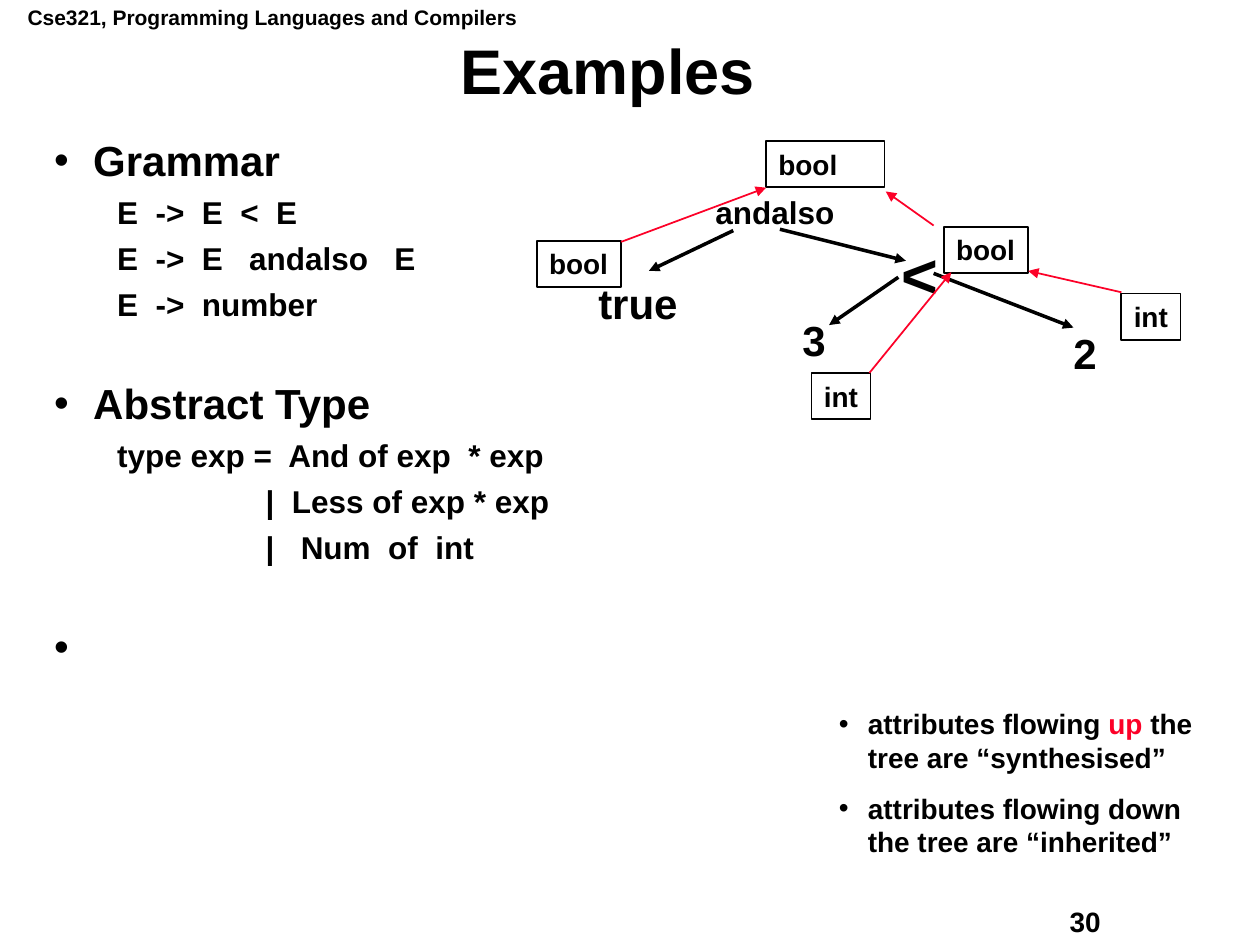
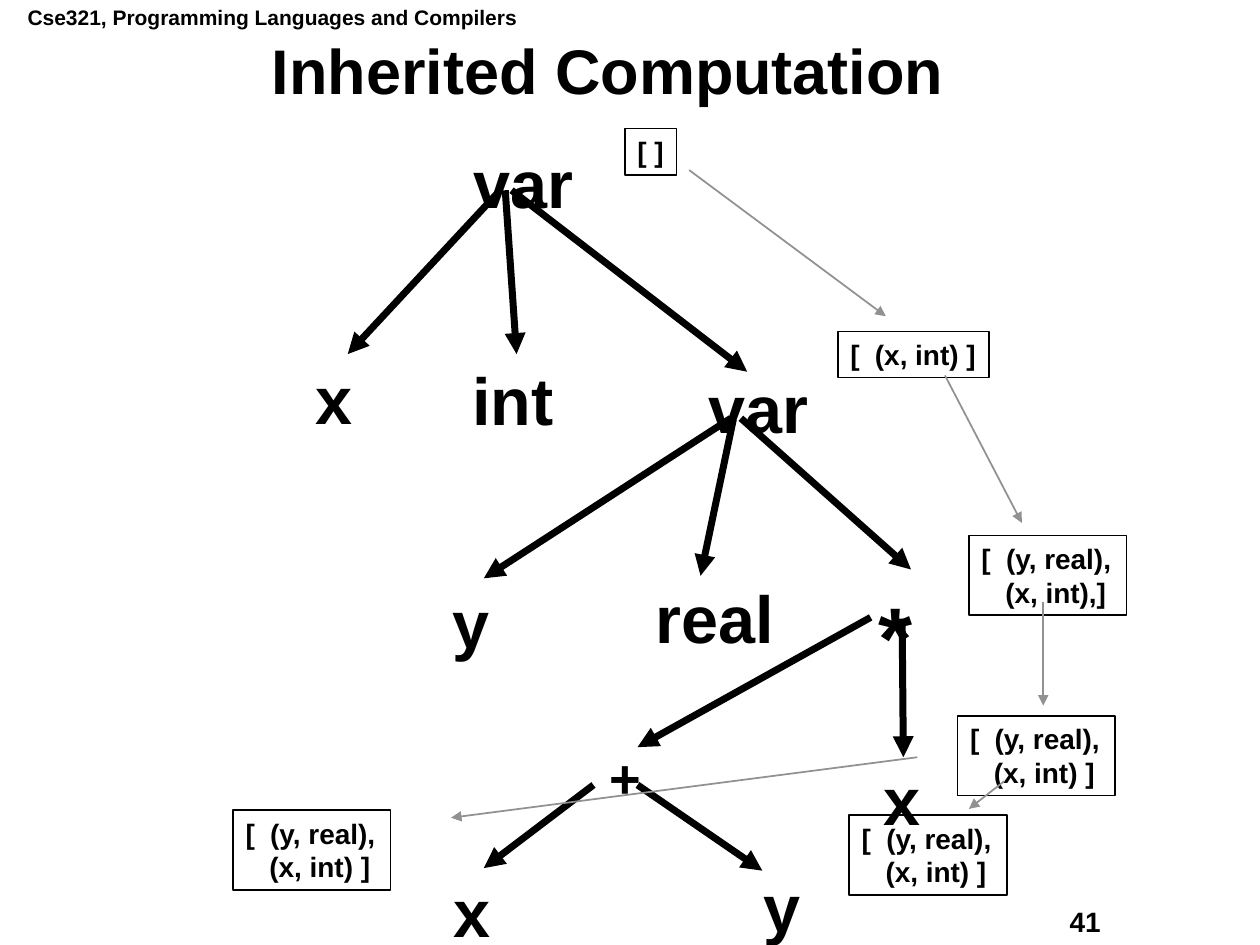
from lxml.etree import SubElement
from pptx import Presentation
from pptx.dml.color import RGBColor
from pptx.enum.shapes import MSO_CONNECTOR, MSO_SHAPE
from pptx.enum.text import MSO_ANCHOR, MSO_AUTO_SIZE, PP_ALIGN
from pptx.oxml.ns import qn
from pptx.util import Inches, Pt

BLACK, RED, GRAY = "000000", "FC0128", "919191"
FONT = "Arial"


def write(frame, lines, size=16, align=PP_ALIGN.LEFT, spacing=1.0, before=0,
          indent=0, hanging=0, bullet=None, color=BLACK, append=False):
    """Fill a text frame; a line is a string or a list of (text, color) runs."""
    for index, line in enumerate(lines):
        first = index == 0 and not append
        paragraph = frame.paragraphs[0] if first else frame.add_paragraph()
        properties = paragraph._p.get_or_add_pPr()
        properties.set("marL", str(Inches(indent)))
        properties.set("indent", str(-Inches(hanging)))
        if bullet:
            SubElement(properties, qn("a:buFont"), typeface=FONT)
            SubElement(properties, qn("a:buChar"), char=bullet)
        else:
            SubElement(properties, qn("a:buNone"))
        paragraph.alignment = align
        paragraph.line_spacing = spacing
        paragraph.space_before = Pt(0 if first else before)
        for text, run_color in [(line, color)] if isinstance(line, str) else line:
            run = paragraph.add_run()
            run.text = text
            run.font.name = FONT
            run.font.size = Pt(size)
            run.font.bold = True
            run.font.color.rgb = RGBColor.from_string(run_color)


def add_label(slide, lines, left, top, width, size=16, inset=0.1, outlined=False, wrap=False):
    """Add a text box or an outlined rectangle as high as its lines."""
    height = len(lines) * size * 1.2 / 72 + inset
    place = [Inches(value) for value in (left, top, width, height)]
    if outlined:
        shape = slide.shapes.add_shape(MSO_SHAPE.RECTANGLE, *place)
        shape.shadow.inherit = False
        shape.fill.background()
        shape.line.color.rgb = RGBColor.from_string(BLACK)
        shape.line.width = Pt(1)
    else:
        shape = slide.shapes.add_textbox(*place)
    frame = shape.text_frame
    frame.margin_left = frame.margin_right = Inches(inset)
    frame.margin_top = frame.margin_bottom = Inches(inset / 2)
    frame.vertical_anchor = MSO_ANCHOR.TOP
    frame.auto_size = MSO_AUTO_SIZE.SHAPE_TO_FIT_TEXT
    frame.word_wrap = wrap
    write(frame, lines[:1], size)
    # Continuation lines are set in under the first entry of the list
    write(frame, lines[1:], size, indent=0.19, append=True)


presentation = Presentation()
presentation.slide_width = Inches(10)
presentation.slide_height = Inches(7.5)

real_and_int = ["[  (y, real),", "(x, int) ]"]

# Nodes: text, left, top, width, size. Boxes: lines, left, top, width.
# Arrows: start x, start y, end x, end y.
slides = [
    {
        "title": "Examples", "number": "30", "layout": 1, "inset": 0.1,
        "nodes": [
            ("andalso", 5.58, 1.48, 1.15, 18),
            ("true", 4.65, 2.15, 0.83, 24),
            ("<", 7.06, 1.82, 0.49, 36),
            ("3", 6.27, 2.45, 0.38, 24),
            ("2", 8.42, 2.55, 0.38, 24),
        ],
        "boxes": [
            (["int"], 8.9, 2.33, 0.47),
            (["bool"], 7.49, 1.8, 0.67),
            (["int"], 6.44, 2.96, 0.47),
            (["bool"], 6.08, 1.12, 0.94),
            (["bool"], 4.26, 1.91, 0.67),
        ],
        "tree_width": 2,
        "tree_arrows": [
            (5.82, 1.83, 5.15, 2.15), (6.19, 1.82, 7.19, 2.07),
            (7.13, 2.2, 6.58, 2.58), (7.41, 2.17, 8.52, 2.6),
        ],
        "flow_color": RED,
        "flow_arrows": [
            (7.41, 1.79, 7.03, 1.52), (8.9, 2.32, 8.16, 2.15),
            (6.9, 2.96, 7.55, 2.16), (4.93, 1.92, 6.08, 1.49),
        ],
    },
    {
        "title": "Inherited Computation", "number": "41", "layout": 5, "inset": 0.16,
        "nodes": [
            ("x", 3.44, 6.83, 0.61, 38),
            ("var", 3.6, 1.05, 1.12, 38),
            ("x", 2.34, 2.76, 0.61, 38),
            ("int", 3.59, 2.77, 0.97, 38),
            ("var", 5.46, 2.83, 1.12, 38),
            ("y", 3.43, 4.54, 0.61, 38),
            ("real", 5.04, 4.5, 1.26, 38),
            ("*", 6.81, 4.54, 0.59, 50),
            ("+", 4.68, 5.83, 0.57, 31),
            ("y", 5.9, 6.79, 0.61, 38),
            ("x", 6.85, 5.94, 0.61, 38),
        ],
        "boxes": [
            (["[ ]"], 4.96, 1.02, 0.41),
            (["[  (x, int) ]"], 6.65, 2.63, 1.2),
            (["[  (y, real),", "(x, int),]"], 7.69, 4.25, 1.25),
            (real_and_int, 7.6, 5.68, 1.25),
            (real_and_int, 6.74, 6.47, 1.25),
            (real_and_int, 1.85, 6.43, 1.25),
        ],
        "tree_width": 4,
        "tree_arrows": [
            (3.97, 1.51, 2.76, 2.81), (4.01, 1.51, 4.1, 2.81), (4.06, 1.51, 5.93, 2.95),
            (5.8, 3.32, 3.84, 4.59), (5.82, 3.33, 5.56, 4.57), (5.88, 3.32, 7.23, 4.52),
            (6.91, 4.9, 5.06, 5.93), (7.16, 4.91, 7.17, 6.01),
            (4.71, 6.23, 3.84, 6.89), (5.06, 6.23, 6.05, 6.91),
        ],
        "flow_color": GRAY,
        "flow_arrows": [
            (5.47, 1.35, 7.03, 2.51), (7.5, 2.98, 8.11, 4.15), (8.28, 4.78, 8.28, 5.6),
            (7.97, 6.2, 7.69, 6.42), (7.28, 6.01, 3.58, 6.49),
        ],
    },
]

for content in slides:
    slide = presentation.slides.add_slide(presentation.slide_layouts[content["layout"]])
    add_label(slide, ["Cse321, Programming Languages and Compilers"], 0.12, -0.01, 4.09, 12)
    add_label(slide, [content["number"]], 8.39, 7.13, 1.27, wrap=True)

    title = slide.shapes.title
    title.left, title.top = Inches(0.31), Inches(0.31)
    title.width, title.height = Inches(9.03), Inches(0.56)
    title.text_frame.vertical_anchor = MSO_ANCHOR.MIDDLE
    title.text_frame.auto_size = MSO_AUTO_SIZE.NONE
    write(title.text_frame, [content["title"]], 36, PP_ALIGN.CENTER, spacing=0.9)

    for text, left, top, width, size in content["nodes"]:
        add_label(slide, [text], left, top, width, size, content["inset"])
    for lines, left, top, width in content["boxes"]:
        # The root box is wider than its text, so only it keeps a fixed width
        add_label(slide, lines, left, top, width, outlined=True, wrap=width == 0.94)

    for arrows, color, line_width in [
        (content["tree_arrows"], BLACK, content["tree_width"]),
        (content["flow_arrows"], content["flow_color"], 1),
    ]:
        for ends in arrows:
            arrow = slide.shapes.add_connector(
                MSO_CONNECTOR.STRAIGHT, *[Inches(value) for value in ends])
            arrow.line.color.rgb = RGBColor.from_string(color)
            arrow.line.width = Pt(line_width)
            SubElement(arrow.line._get_or_add_ln(), qn("a:tailEnd"), type="triangle")
            SubElement(arrow._element.spPr, qn("a:effectLst"))

# Grammar list and notes of the first slide
examples = presentation.slides[0]
body = examples.placeholders[1]
body.left, body.top = Inches(0.33), Inches(1.06)
body.width, body.height = Inches(8.81), Inches(4.58)
body.text_frame.auto_size = MSO_AUTO_SIZE.NONE
sections = [
    ("Grammar", ["E  ->  E  <  E", "E  ->  E   andalso   E", "E  ->  number"]),
    ("Abstract Type", ["type exp =  And of exp  * exp",
                       "                 |  Less of exp * exp",
                       "                 |   Num  of  int"]),
    (" ", []),
]
for index, (heading, code_lines) in enumerate(sections):
    write(body.text_frame, [heading], 24, spacing=0.9, before=34.4, indent=0.31,
          hanging=0.31, bullet="•", append=index > 0)
    write(body.text_frame, code_lines, 18, spacing=0.9, before=6.8, indent=0.75,
          hanging=0.25, append=True)

notes = examples.shapes.add_textbox(Inches(6.56), Inches(5.56), Inches(3.01), Inches(1.3))
notes.text_frame.word_wrap = True
write(notes.text_frame, [
    [("attributes flowing ", BLACK), ("up", RED), (" the tree are “synthesised”", BLACK)],
    "attributes flowing down the tree are “inherited”",
], before=10, indent=0.23, hanging=0.23, bullet="•")

presentation.save("out.pptx")
